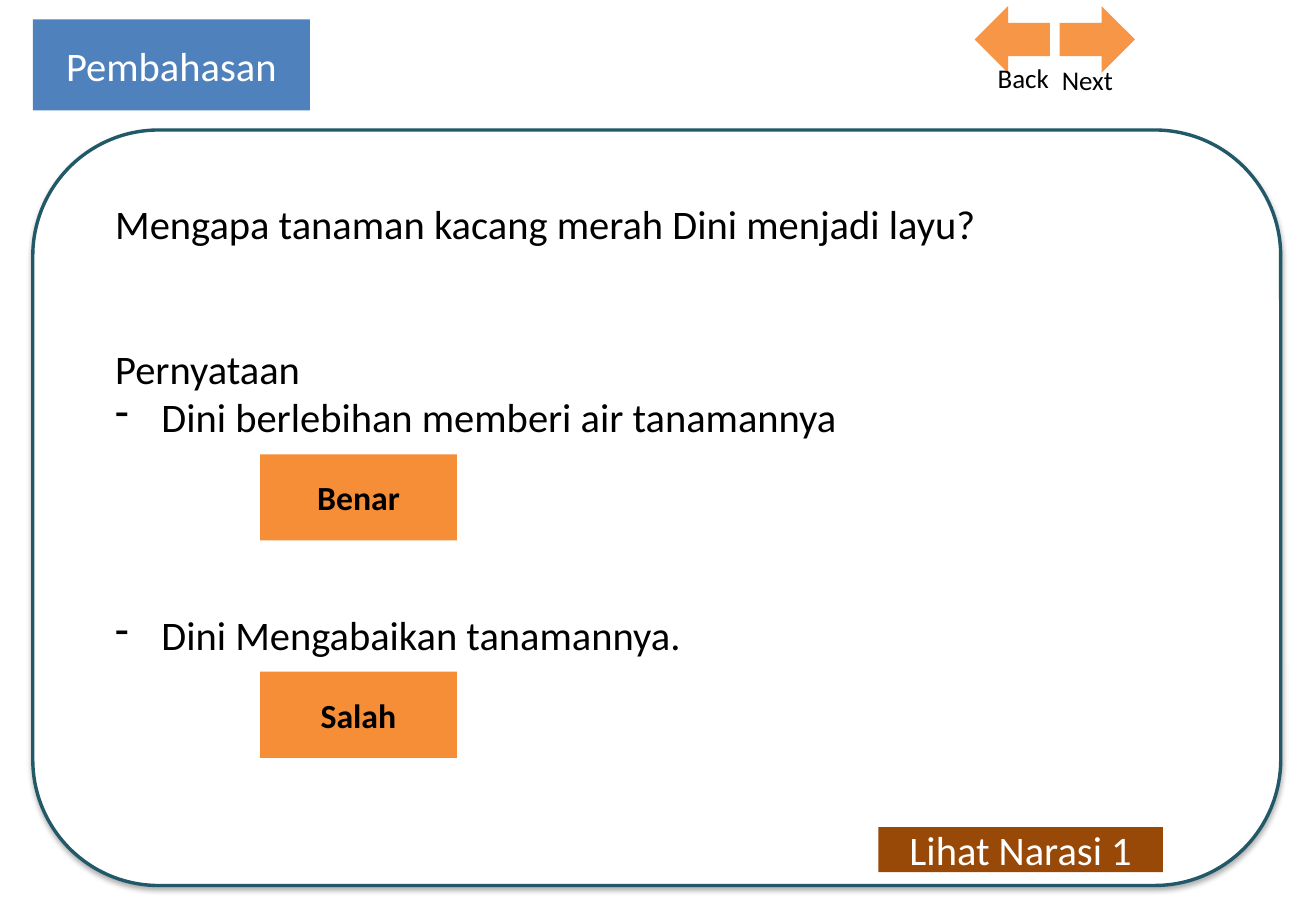
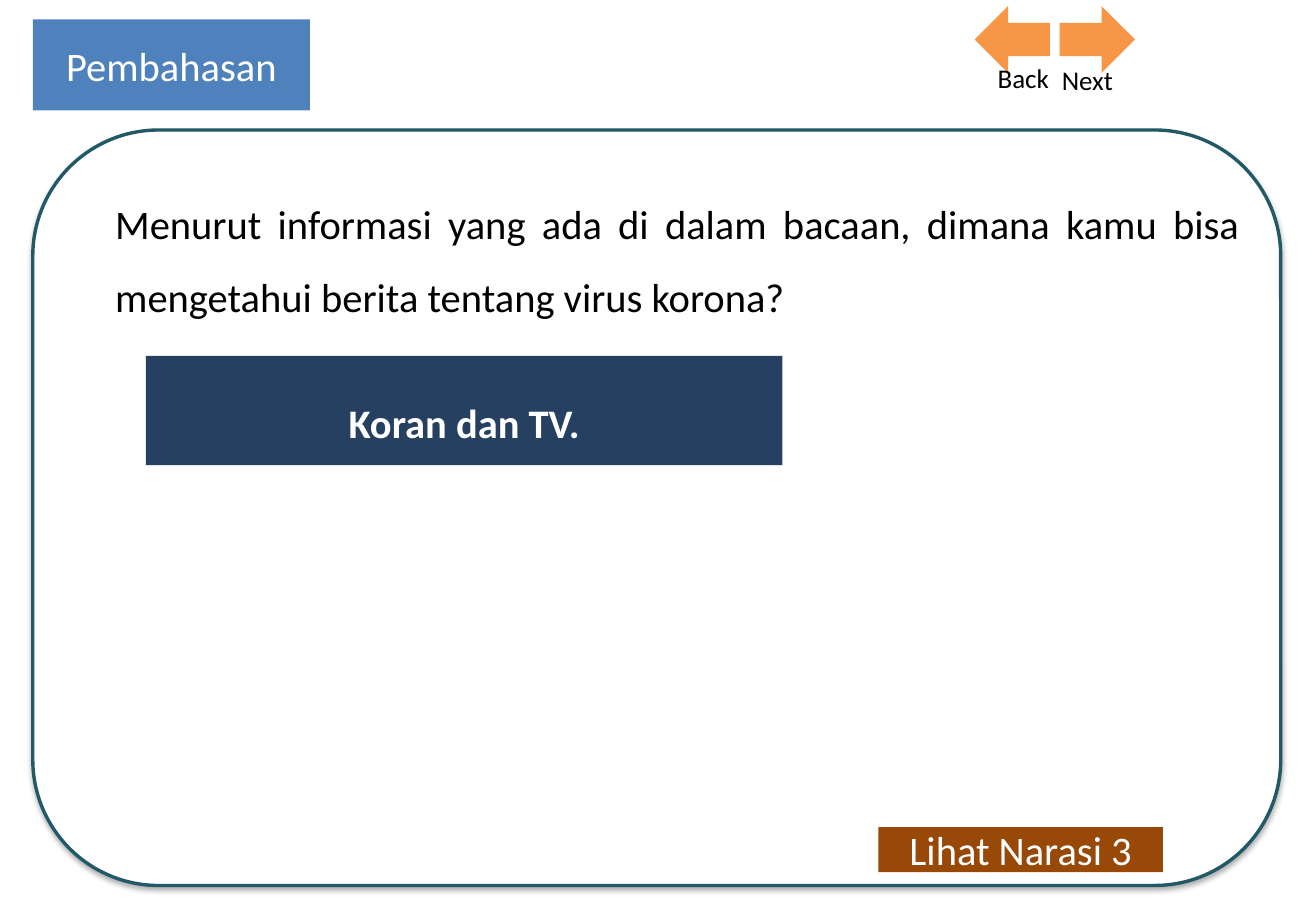
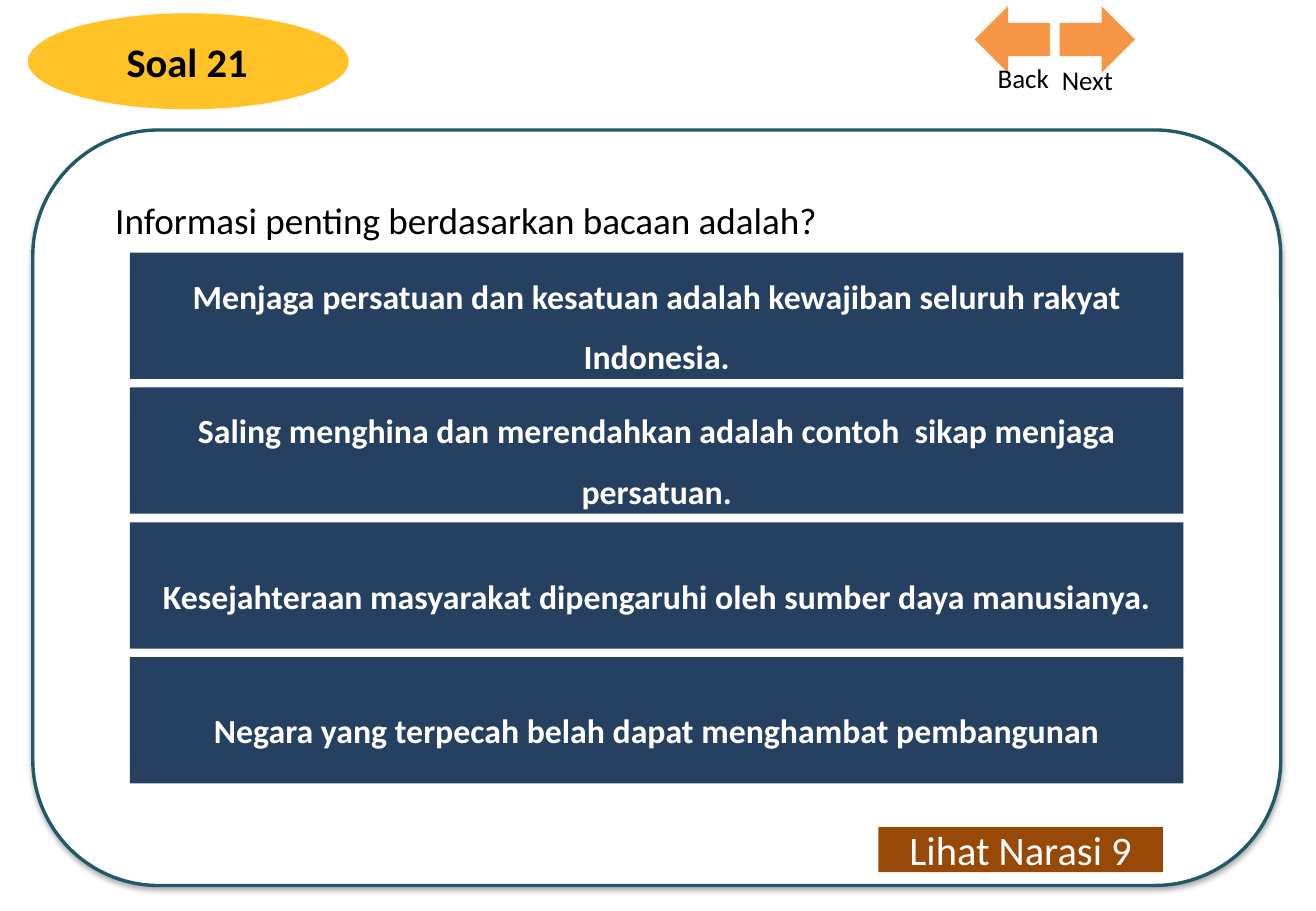
import pptx
import pptx.util
import pptx.dml.color
import pptx.enum.shapes
import pptx.enum.text
import pptx.oxml.ns
from dataclasses import dataclass
from lxml import etree
from typing import Any

Inches, Pt = pptx.util.Inches, pptx.util.Pt
SHAPE = pptx.enum.shapes.MSO_SHAPE
ALIGN = pptx.enum.text.PP_ALIGN
ANCHOR = pptx.enum.text.MSO_ANCHOR
qn = pptx.oxml.ns.qn

FONT = "Calibri"
COLORS = {
    "white": "FFFFFF", "black": "000000", "teal": "215968", "blue": "4F81BD",
    "navy": "254061", "orange": "F68D37", "arrow": "F79646",
    "brown": "984807", "yellow": "FFC227",
}


@dataclass(frozen=True)
class Box:
    x: float
    y: float
    w: float
    h: float


@dataclass(frozen=True)
class TextStyle:
    size: float
    color: str = "black"
    bold: bool = False
    align: Any = ALIGN.CENTER
    spacing: float = 1.0


@dataclass(frozen=True)
class Para:
    text: str
    spacing: float = 1.0
    before: float = 0
    dash: bool = False


# Shared styles and places
TITLE = TextStyle(24, "white")
NAV = {"Next": (Box(8.64, 0.47, 1.4, 0.37), TextStyle(16, align=ALIGN.LEFT)),
       "Back": (Box(7.33, 0.46, 1.4, 0.37), TextStyle(16, align=ALIGN.RIGHT))}
NAV_ARROWS = ((8.02, 180), (8.72, 0))
VERDICT = TextStyle(20, bold=True)
ANSWER = TextStyle(20, "white", True, spacing=1.5)
QUESTION_X, QUESTION_Y, QUESTION_W = 0.85, 1.39, 9.45
OPTION_TOP, OPTION_PITCH = 2.08, 1.11


def rgb(name: str) -> pptx.dml.color.RGBColor:
    return pptx.dml.color.RGBColor.from_string(COLORS[name])


def place(box: Box) -> tuple:
    return tuple(Inches(v) for v in (box.x, box.y, box.w, box.h))


def set_all(target: Any, values: dict) -> None:
    for name, value in values.items():
        setattr(target, name, value)


def write(p: Any, text: str, style: TextStyle) -> None:
    set_all(p, {"alignment": style.align, "line_spacing": style.spacing})
    r = p.add_run()
    r.text = text
    set_all(r.font, {"name": FONT, "size": Pt(style.size), "bold": style.bold})
    r.font.color.rgb = rgb(style.color)


def add_shape(s: Any, kind: Any, box: Box, fill: str, text: str = "",
              style: TextStyle = TITLE) -> Any:
    sp = s.shapes.add_shape(kind, *place(box))
    sp.shadow.inherit = False
    sp.fill.solid()
    sp.fill.fore_color.rgb = rgb(fill)
    sp.line.fill.background()
    if text:
        set_all(sp.text_frame, {"word_wrap": True, "vertical_anchor": ANCHOR.MIDDLE})
        write(sp.text_frame.paragraphs[0], text, style)
    return sp


def add_label(s: Any, box: Box, text: str, style: TextStyle) -> None:
    tf = s.shapes.add_textbox(*place(box)).text_frame
    tf.word_wrap = True
    write(tf.paragraphs[0], text, style)


def add_dash(p: Any) -> None:
    pPr = p._p.get_or_add_pPr()
    pPr.set("marL", str(Inches(0.38)))
    pPr.set("indent", str(-Inches(0.38)))
    etree.SubElement(pPr, qn("a:buChar")).set("char", "-")


def add_question(s: Any, height: float, paras: list[Para], size: float = 24) -> None:
    box = Box(QUESTION_X, QUESTION_Y, QUESTION_W, height)
    tf = s.shapes.add_textbox(*place(box)).text_frame
    tf.word_wrap = True
    for i, para in enumerate(paras):
        p = tf.paragraphs[0] if i == 0 else tf.add_paragraph()
        if para.dash:
            add_dash(p)
        if para.before:
            p.space_before = Pt(para.before)
        write(p, para.text, TextStyle(size, align=ALIGN.JUSTIFY, spacing=para.spacing))


def add_panel(s: Any) -> None:
    sp = add_shape(s, SHAPE.ROUNDED_RECTANGLE, Box(0.27, 1.07, 10.27, 6.22), "white")
    sp.line.color.rgb = rgb("teal")
    sp.line.width = Pt(2)
    # Soft shadow below the panel
    effects = sp._element.spPr.find(qn("a:effectLst"))
    shadow = etree.SubElement(effects, qn("a:outerShdw"))
    for name, value in {"blurRad": Pt(3.5), "dist": Pt(2.2), "dir": 90 * 60000,
                        "rotWithShape": 0}.items():
        shadow.set(name, str(value))
    color = etree.SubElement(shadow, qn("a:srgbClr"))
    color.set("val", COLORS["black"])
    etree.SubElement(color, qn("a:alpha")).set("val", "32000")


def add_frame(prs: Any, narration: int) -> Any:
    """Start a slide with its panel, narration button and navigation."""
    s = prs.slides.add_slide(prs.slide_layouts[6])
    add_panel(s)
    add_shape(s, SHAPE.RECTANGLE, Box(7.23, 6.81, 2.34, 0.37), "brown",
              f"Lihat Narasi {narration}")
    for x, rotation in NAV_ARROWS:
        sp = add_shape(s, SHAPE.RIGHT_ARROW, Box(x, 0.05, 0.62, 0.55), "arrow")
        sp.rotation = rotation
    for text, (box, style) in NAV.items():
        add_label(s, box, text, style)
    return s


def add_discussion_title(s: Any) -> None:
    add_shape(s, SHAPE.RECTANGLE, Box(0.27, 0.16, 2.28, 0.75), "blue", "Pembahasan")


def build_statements(prs: Any) -> None:
    s = add_frame(prs, 1)
    add_discussion_title(s)
    add_question(s, 4.14, [
        Para("Mengapa tanaman kacang merah Dini menjadi layu?", 1.5),
        Para("Pernyataan", before=57),
        Para("Dini berlebihan memberi air tanamannya", dash=True),
        Para("Dini Mengabaikan tanamannya.", 1.5, before=86, dash=True),
    ])
    for y, verdict in ((3.74, "Benar"), (5.53, "Salah")):
        add_shape(s, SHAPE.RECTANGLE, Box(2.14, y, 1.62, 0.71), "orange",
                  verdict, VERDICT)


def build_source_answer(prs: Any) -> None:
    s = add_frame(prs, 3)
    add_discussion_title(s)
    add_question(s, 1.92, [Para(
        "Menurut informasi yang ada di dalam bacaan, dimana kamu bisa "
        "mengetahui berita tentang virus korona?", 1.5)])
    add_shape(s, SHAPE.RECTANGLE, Box(1.2, 2.93, 5.24, 0.9), "navy",
              "Koran dan TV.", TextStyle(24, "white", True, spacing=1.5))


def build_options(prs: Any) -> None:
    s = add_frame(prs, 9)
    add_shape(s, SHAPE.OVAL, Box(0.23, 0.11, 2.64, 0.79), "yellow")
    add_label(s, Box(0.18, 0.26, 2.72, 0.5), "Soal 21", TextStyle(24, bold=True))
    add_question(s, 0.66, [Para("Informasi penting berdasarkan bacaan adalah?", 1.5)], 22)
    options = (
        "Menjaga persatuan dan kesatuan adalah kewajiban seluruh rakyat Indonesia.",
        "Saling menghina dan merendahkan adalah contoh  sikap menjaga persatuan.",
        "Kesejahteraan masyarakat dipengaruhi oleh sumber daya manusianya.",
        "Negara yang terpecah belah dapat menghambat pembangunan",
    )
    for i, option in enumerate(options):
        box = Box(1.07, OPTION_TOP + i * OPTION_PITCH, 8.67, 1.04)
        add_shape(s, SHAPE.RECTANGLE, box, "navy", option, ANSWER)


def main() -> None:
    prs = pptx.Presentation()
    set_all(prs, {"slide_width": Inches(10.83), "slide_height": Inches(7.5)})
    for build in (build_statements, build_source_answer, build_options):
        build(prs)
    prs.save("out.pptx")


if __name__ == "__main__":
    main()
